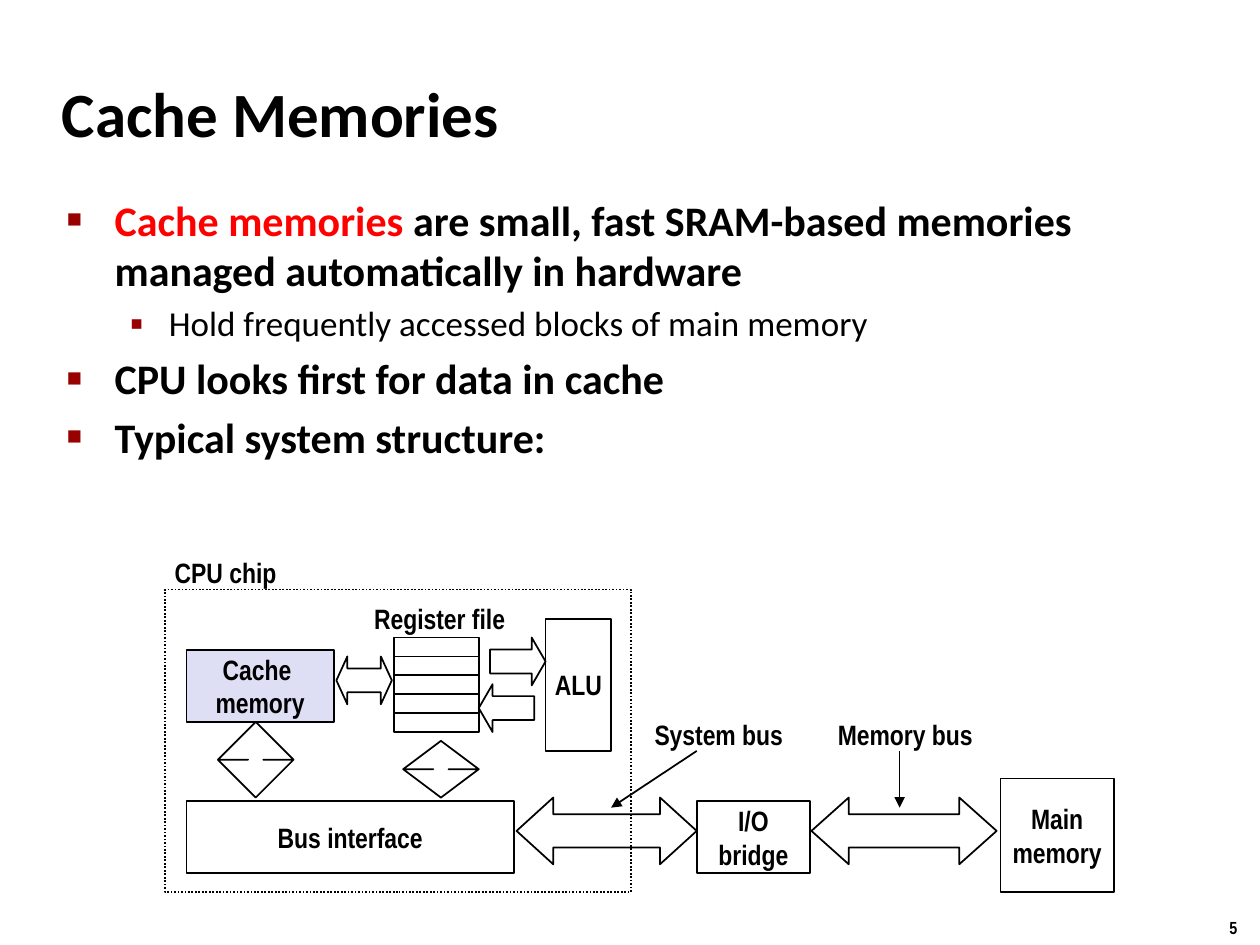
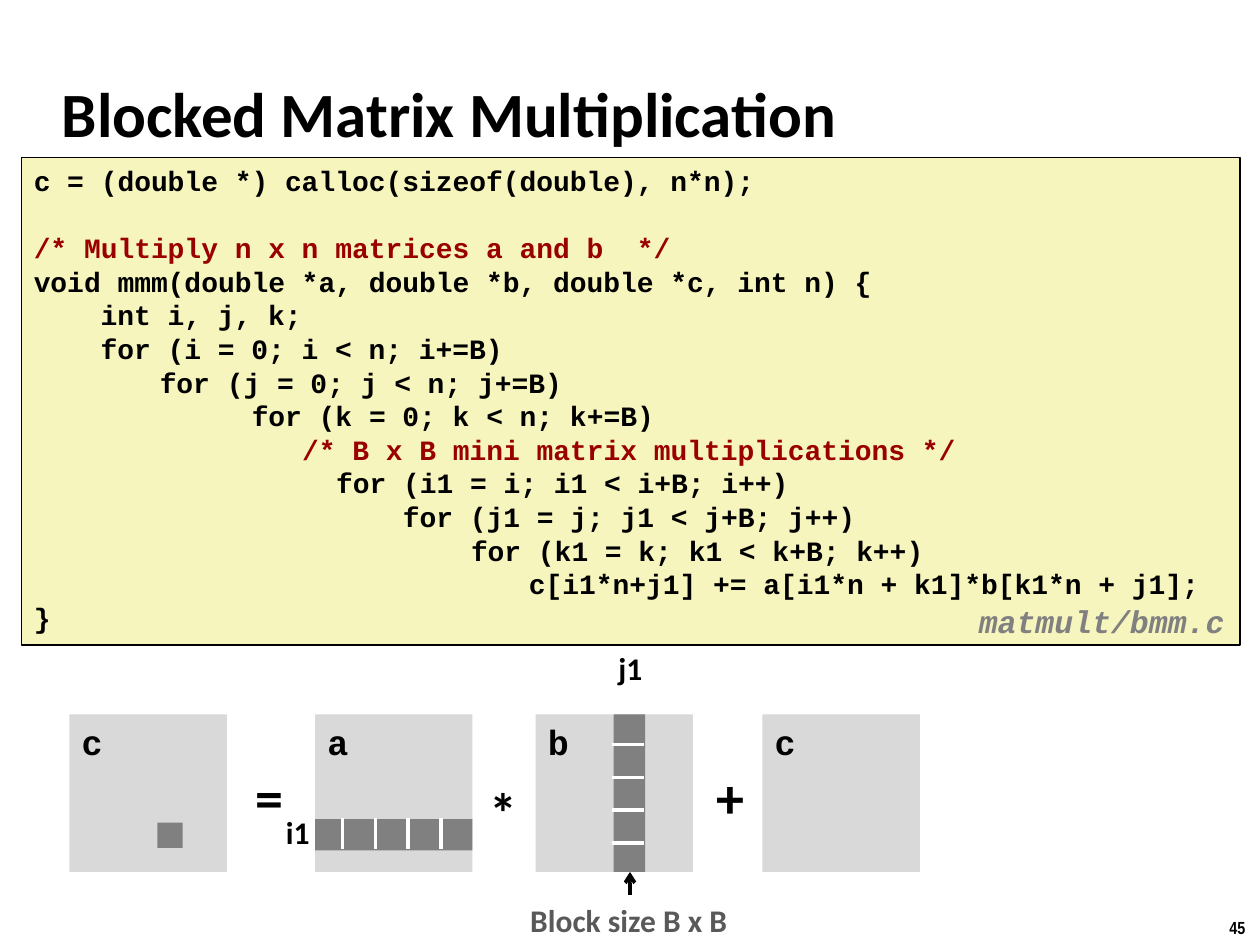
from lxml.etree import SubElement
from pptx import Presentation
from pptx.dml.color import RGBColor
from pptx.enum.dml import MSO_LINE
from pptx.enum.shapes import MSO_CONNECTOR, MSO_SHAPE as KIND
from pptx.enum.text import MSO_ANCHOR, MSO_AUTO_SIZE, PP_ALIGN
from pptx.oxml.ns import qn
from pptx.util import Inches, Pt

BLACK, WHITE, GREY, LIGHT = "000000", "FFFFFF", "808080", "D9D9D9"
RED, DARK, BLUE, CREAM = "FF0000", "990000", "DEDFF5", "F6F5BD"
NARROW, SANS, MONO = "Arial Narrow", "Calibri", "Courier New"
hue = RGBColor.from_string


def say(frame, text, size=16, font=NARROW, color=BLACK, bold=True, italic=False,
        align=PP_ALIGN.LEFT, anchor=MSO_ANCHOR.TOP, wrap=False, join=False):
    """Add one paragraph per line of text, or join a run to the last one."""
    frame.word_wrap, frame.vertical_anchor = wrap, anchor
    for line in text.split("\n"):
        para = frame.paragraphs[-1]
        if para.runs and not join:
            para = frame.add_paragraph()
        para.alignment = align
        run = para.add_run()
        run.text = line
        run.font.size, run.font.name = Pt(size), font
        run.font.bold, run.font.italic = bold, italic
        run.font.color.rgb = hue(color)
    return para


def draw(slide, kind, at, fill=None, line=None, adj=()):
    """Add a preset shape, or a text box when kind is None."""
    place = [Inches(n) for n in at]
    if kind is None:
        label = slide.shapes.add_textbox(*place)
        label.text_frame.auto_size = MSO_AUTO_SIZE.SHAPE_TO_FIT_TEXT
        return label
    shape = slide.shapes.add_shape(kind, *place)
    shape.shadow.inherit = False
    for i, value in enumerate(adj):
        shape.adjustments[i] = value
    if fill:
        shape.fill.solid()
        shape.fill.fore_color.rgb = hue(fill)
    else:
        shape.fill.background()
    if line:
        shape.line.color.rgb = hue(line)
        shape.line.width = Pt(1)
    else:
        shape.line.fill.background()
    return shape


deck = Presentation()
deck.slide_width, deck.slide_height = Inches(10), Inches(7.5)

# Titles and page numbers
slides = []
for layout, title, page in [(1, "Cache Memories", "5"),
                            (5, "Blocked Matrix Multiplication", "45")]:
    slide = deck.slides.add_slide(deck.slide_layouts[layout])
    head = slide.shapes.title
    head.left, head.top, head.width, head.height = map(Inches, (0.39, 0.48, 8.3, 0.83))
    head.text_frame.auto_size = MSO_AUTO_SIZE.NONE
    say(head.text_frame, title, size=36, font=SANS, anchor=MSO_ANCHOR.MIDDLE, wrap=True)
    number = draw(slide, None, (9.66, 7.23, 0.34, 0.27))
    say(number.text_frame, page, size=10)
    slides.append(slide)
cache, matrix = slides

# Cache: bullet list
body = cache.placeholders[1]
body.left, body.top, body.width, body.height = map(Inches, (0.43, 1.49, 8.64, 5.44))
body.text_frame.auto_size = MSO_AUTO_SIZE.NONE
points = [
    (0, [("Cache memories ", RED),
         ("are small, fast SRAM-based memories managed automatically in hardware", BLACK)]),
    (1, [("Hold frequently accessed blocks of main memory", BLACK)]),
    (0, [("CPU looks first for data in cache", BLACK)]),
    (0, [("Typical system structure:", BLACK)]),
]
levels = [(24, 0.38, 0.38, "■", 60), (20, 0.81, 0.31, "▪", 110)]
for level, parts in points:
    size, left, hang, mark, scale = levels[level]
    for i, (text, color) in enumerate(parts):
        para = say(body.text_frame, text, size=size, font=SANS, color=color,
                   bold=level == 0, wrap=True, join=i > 0)
    para.level = level
    para.space_before = Pt(size * 0.2)
    props = para._p.get_or_add_pPr()
    props.set("marL", str(Inches(left)))
    props.set("indent", str(-Inches(hang)))
    SubElement(SubElement(props, qn("a:buClr")), qn("a:srgbClr"), val=DARK)
    SubElement(props, qn("a:buSzPct"), val=str(scale * 1000))
    SubElement(props, qn("a:buFont"), typeface="Arial")
    SubElement(props, qn("a:buChar"), char=mark)

# Cache: block arrows
for kind, at, tip in [
    (KIND.LEFT_RIGHT_ARROW, (6.44, 6.33, 1.47, 0.53), 0.56),
    (KIND.LEFT_RIGHT_ARROW, (4.1, 6.33, 1.43, 0.53), 0.55),
    (KIND.LEFT_RIGHT_ARROW, (2.67, 5.21, 0.44, 0.38), 0.23),
    (KIND.RIGHT_ARROW, (3.89, 5.06, 0.44, 0.38), 0.29),
    (KIND.LEFT_ARROW, (3.8, 5.43, 0.44, 0.38), 0.29),
    (KIND.UP_DOWN_ARROW, (3.2, 5.88, 0.6, 0.45), 0.2),
    (KIND.UP_DOWN_ARROW, (1.73, 5.73, 0.6, 0.6), 0.2),
]:
    draw(cache, kind, at, line=BLACK, adj=(0.5, tip))

# Cache: register file and chip outline
for row in range(5):
    draw(cache, KIND.RECTANGLE, (3.13, 5.06 + 0.15 * row, 0.67, 0.15), line=BLACK)
chip = draw(cache, KIND.RECTANGLE, (1.31, 4.68, 3.7, 2.4), line=BLACK)
chip.line.dash_style = MSO_LINE.ROUND_DOT

# Cache: units and labels
for kind, text, at, fill in [
    (KIND.RECTANGLE, "Main\nmemory", (7.94, 6.18, 0.9, 0.9), None),
    (KIND.RECTANGLE, "I/O\nbridge", (5.53, 6.36, 0.9, 0.57), None),
    (KIND.RECTANGLE, "Bus interface", (1.48, 6.36, 2.6, 0.57), None),
    (KIND.RECTANGLE, "ALU", (4.33, 4.91, 0.52, 1.05), None),
    (KIND.RECTANGLE, "Cache \nmemory", (1.48, 5.16, 1.17, 0.57), BLUE),
    (None, "Register file", (2.86, 4.72, 1.26, 0.37), None),
    (None, "CPU chip", (1.28, 4.36, 1.02, 0.37), None),
    (None, "System bus", (5.09, 5.64, 1.23, 0.37), None),
    (None, "Memory bus", (6.54, 5.64, 1.29, 0.37), None),
]:
    unit = draw(cache, kind, at, fill, BLACK)
    say(unit.text_frame, text, align=PP_ALIGN.CENTER, anchor=MSO_ANCHOR.MIDDLE)

# Matrix: code, each line with its indent in inches
code = draw(matrix, KIND.RECTANGLE, (0.17, 1.25, 9.67, 3.87), CREAM, BLACK)
for left, text in [
    (0, "c = (double *) calloc(sizeof(double), n*n);"),
    (0, "/* Multiply n x n matrices a and b  */"),
    (0, "void mmm(double *a, double *b, double *c, int n) {"),
    (0.53, "int i, j, k;"),
    (0.53, "for (i = 0; i < n; i+=B)"),
    (1, "for (j = 0; j < n; j+=B)"),
    (1.73, "for (k = 0; k < n; k+=B)"),
    (2.13, "/* B x B mini matrix multiplications */"),
    (2.4, "for (i1 = i; i1 < i+B; i++)"),
    (2.93, "for (j1 = j; j1 < j+B; j++)"),
    (3.47, "for (k1 = k; k1 < k+B; k++)"),
    (3.93, "c[i1*n+j1] += a[i1*n + k1]*b[k1*n + j1];"),
    (0, "}"),
]:
    note = text.startswith("/*")
    para = say(code.text_frame, text, font=MONO, color=DARK if note else BLACK, wrap=True)
    para.line_spacing = Pt(19.2)
    if note and left == 0:
        para.space_before = Pt(19.2)
    para._p.get_or_add_pPr().set("marL", str(Inches(left)))
name = draw(matrix, None, (7.67, 4.75, 2.23, 0.39))
para = say(name.text_frame, "matmult/bmm.c", size=18, font=MONO, color=GREY, italic=True)
para.line_spacing = 0.94

# Matrix: squares and their dark blocks
for left, text in [(0.55, "c"), (2.5, "a"), (4.25, "b"), (6.05, "c")]:
    square = draw(matrix, KIND.RECTANGLE, (left, 5.67, 1.25, 1.25), LIGHT)
    say(square.text_frame, text, size=20, font=MONO, wrap=True)
for at in [(1.25, 6.53, 0.2, 0.2), (2.5, 6.5, 1.25, 0.25), (4.87, 5.67, 0.25, 1.25)]:
    draw(matrix, KIND.RECTANGLE, at, GREY)

# Matrix: signs and indices
for text, at, size in [
    ("=", (1.93, 6, 0.43, 0.64), 32),
    ("*", (3.79, 6.12, 0.43, 0.64), 32),
    ("+", (5.59, 6, 0.43, 0.64), 32),
    ("i1", (2.17, 6.4, 0.39, 0.4), 18),
    ("j1", (4.81, 5.1, 0.39, 0.4), 18),
]:
    say(draw(matrix, None, at).text_frame, text, size=size, font=SANS)
block = draw(matrix, KIND.RECTANGLE, (4.11, 7.1, 1.78, 0.4), WHITE)
say(block.text_frame, "Block size B x B", size=18, font=SANS, color="595959")

# Lines and thin arrows on both slides
lines = [
    (cache, (5.53, 5.96, 4.85, 6.41), BLACK, 1, "triangle"),
    (cache, (7.14, 5.96, 7.14, 6.41), BLACK, 1, "triangle"),
    (matrix, (5, 7.1, 5, 6.92), BLACK, 2, "arrow"),
]
for i in range(4):
    x, y = 2.72 + 0.26 * i, 5.91 + 0.26 * i
    lines.append((matrix, (x, 6.49, x, 6.74), WHITE, 2, None))
    lines.append((matrix, (5.11, y, 4.86, y), WHITE, 2, None))
for slide, ends, color, width, tip in lines:
    wire = slide.shapes.add_connector(MSO_CONNECTOR.STRAIGHT, *map(Inches, ends))
    wire.line.color.rgb = hue(color)
    wire.line.width = Pt(width)
    if tip:
        SubElement(wire.line._get_or_add_ln(), qn("a:tailEnd"), type=tip)
    SubElement(wire._element.spPr, qn("a:effectLst"))

deck.save("out.pptx")
